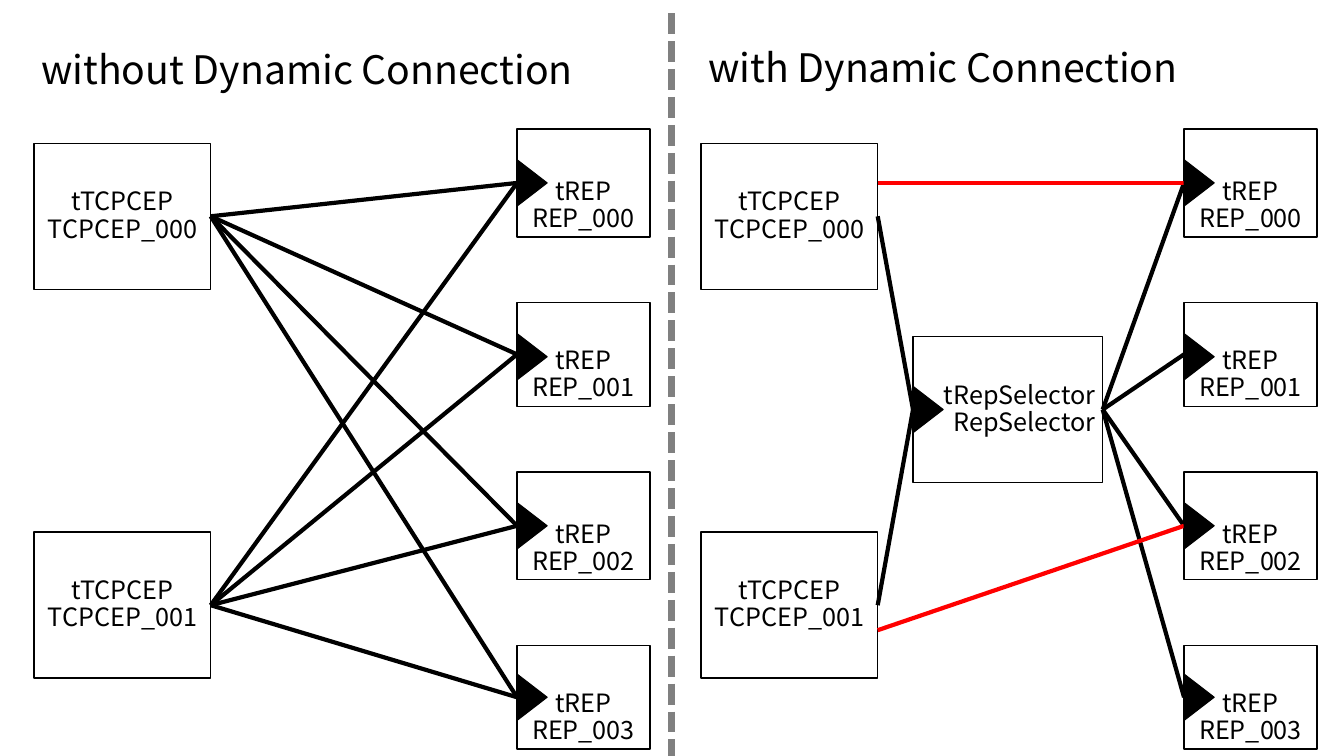
from dataclasses import dataclass

from lxml import etree
from pptx import Presentation
from pptx import util as u
from pptx.dml.color import RGBColor
from pptx.enum import dml, shapes, text
from pptx.oxml.ns import qn

FONT = "Noto Sans CJK JP"
BLACK, WHITE, RED, GRAY = "000000", "FFFFFF", "FF0000", "808080"
LEFT_SIDE, RIGHT_SIDE = 1, 3
PANEL_LEFT, PANEL_STEP, PANEL_WIDTH = 0.86, 16.81, 15.52
PORT_WIDTH, PORT_DEPTH = 1.17, 0.76


@dataclass
class Cell:
    kind: str
    name: str
    left: float
    top: float
    width: float
    height: float
    align: text.PP_ALIGN = text.PP_ALIGN.CENTER
    anchor: text.MSO_ANCHOR = text.MSO_ANCHOR.MIDDLE
    port_shift: float = 0

    @property
    def middle(self) -> float:
        return self.top + self.height / 2


# Positions inside one panel, in cm
CLIENTS = [Cell("tTCPCEP", f"TCPCEP_00{i}", 0, top, 4.45, 3.68)
           for i, top in enumerate((3.61, 13.41))]
REPS = [Cell("tREP", f"REP_00{i}", 12.17, top, 3.35, height,
             anchor=text.MSO_ANCHOR.BOTTOM, port_shift=shift)
        for i, (top, height, shift) in enumerate(
            [(3.25, 2.72, 0), (7.62, 2.62, 0.06), (11.89, 2.72, 0), (16.26, 2.62, 0)])]
SELECTOR = Cell("tRepSelector", "RepSelector", 5.34, 8.48, 4.78, 3.68,
                align=text.PP_ALIGN.RIGHT)

prs = Presentation()
prs.slide_width, prs.slide_height = u.Cm(33.87), u.Cm(19.05)
slide = prs.slides.add_slide(prs.slide_layouts[6])


def rgb(color: str) -> RGBColor:
    return RGBColor.from_string(color)


def write(shape, lines: list[str], *, size: float, align=text.PP_ALIGN.LEFT,
          anchor=text.MSO_ANCHOR.MIDDLE, color: str = BLACK) -> None:
    frame = shape.text_frame
    frame.word_wrap = True
    frame.vertical_anchor = anchor
    frame.margin_left = frame.margin_right = u.Cm(0.18)
    frame.margin_top = frame.margin_bottom = u.Cm(0.1)
    for i, line in enumerate(lines):
        paragraph = frame.add_paragraph() if i else frame.paragraphs[0]
        paragraph.alignment = align
        paragraph.line_spacing = 0.9
        run = paragraph.add_run()
        run.text = line
        run.font.name, run.font.size = FONT, u.Pt(size)
        run.font.color.rgb = rgb(color)


def add_block(preset, left: float, top: float, width: float, height: float,
              fill: str, line_width: float):
    block = slide.shapes.add_shape(preset, u.Cm(left), u.Cm(top), u.Cm(width), u.Cm(height))
    block.shadow.inherit = False
    block.fill.solid()
    block.fill.fore_color.rgb = rgb(fill)
    block.line.color.rgb = rgb(BLACK)
    block.line.width = u.Pt(line_width)
    return block


def add_cell(cell: Cell, panel: float):
    box = add_block(shapes.MSO_SHAPE.RECTANGLE, panel + cell.left, cell.top,
                    cell.width, cell.height, WHITE, 1)
    write(box, [cell.kind, cell.name], size=18, align=cell.align, anchor=cell.anchor)
    return box


def add_port(cell: Cell, panel: float) -> None:
    """Entry triangle just inside the left side of a cell, pointing right."""
    center = panel + cell.left + PORT_DEPTH / 2
    port = add_block(shapes.MSO_SHAPE.ISOSCELES_TRIANGLE, center - PORT_WIDTH / 2,
                     cell.middle + cell.port_shift - PORT_DEPTH / 2,
                     PORT_WIDTH, PORT_DEPTH, BLACK, 0.75)
    port.rotation = 90


def add_wire(x1: float, y1: float, x2: float, y2: float, color: str = BLACK, width: float = 3):
    wire = slide.shapes.add_connector(shapes.MSO_CONNECTOR.STRAIGHT,
                                      u.Cm(x1), u.Cm(y1), u.Cm(x2), u.Cm(y2))
    wire.line.color.rgb = rgb(color)
    wire.line.width = u.Pt(width)
    etree.SubElement(wire._element.spPr, qn("a:effectLst"))
    return wire


def join(source, target) -> None:
    wire = add_wire(0, 0, 1, 1)
    wire.begin_connect(source, RIGHT_SIDE)
    wire.end_connect(target, LEFT_SIDE)


def add_title(title: str, panel: float, top: float) -> None:
    box = slide.shapes.add_textbox(u.Cm(panel), u.Cm(top), u.Cm(PANEL_WIDTH), u.Cm(3.68))
    write(box, [title], size=28)


# Left panel: every client is wired to every REP
static = PANEL_LEFT
add_title("without Dynamic Connection", static, -0.03)
clients = [add_cell(cell, static) for cell in CLIENTS]
reps = [add_cell(cell, static) for cell in REPS]
for client in clients:
    for rep in reps:
        join(client, rep)
for cell in REPS:
    add_port(cell, static)

# Right panel: clients reach the REPs through the selector
dynamic = PANEL_LEFT + PANEL_STEP
add_title("with Dynamic Connection", dynamic, -0.08)
clients = [add_cell(cell, dynamic) for cell in CLIENTS]
reps = [add_cell(cell, dynamic) for cell in REPS]
selector = add_cell(SELECTOR, dynamic)
for client in clients:
    join(client, selector)
for rep in reps:
    join(selector, rep)

# Direct connections made at run time
client_edge = dynamic + CLIENTS[0].width
for start_y, index in ((REPS[0].middle, 0), (15.88, 2)):
    direct = add_wire(client_edge, start_y, dynamic + REPS[index].left,
                      REPS[index].middle, RED)
    direct.end_connect(reps[index], LEFT_SIDE)
for cell in [SELECTOR, *REPS]:
    add_port(cell, dynamic)

# Divider between the panels
divider = add_wire(16.92, 0.33, 16.92, 19.05, GRAY, 5)
divider.line.dash_style = dml.MSO_LINE.SQUARE_DOT

prs.save("out.pptx")
